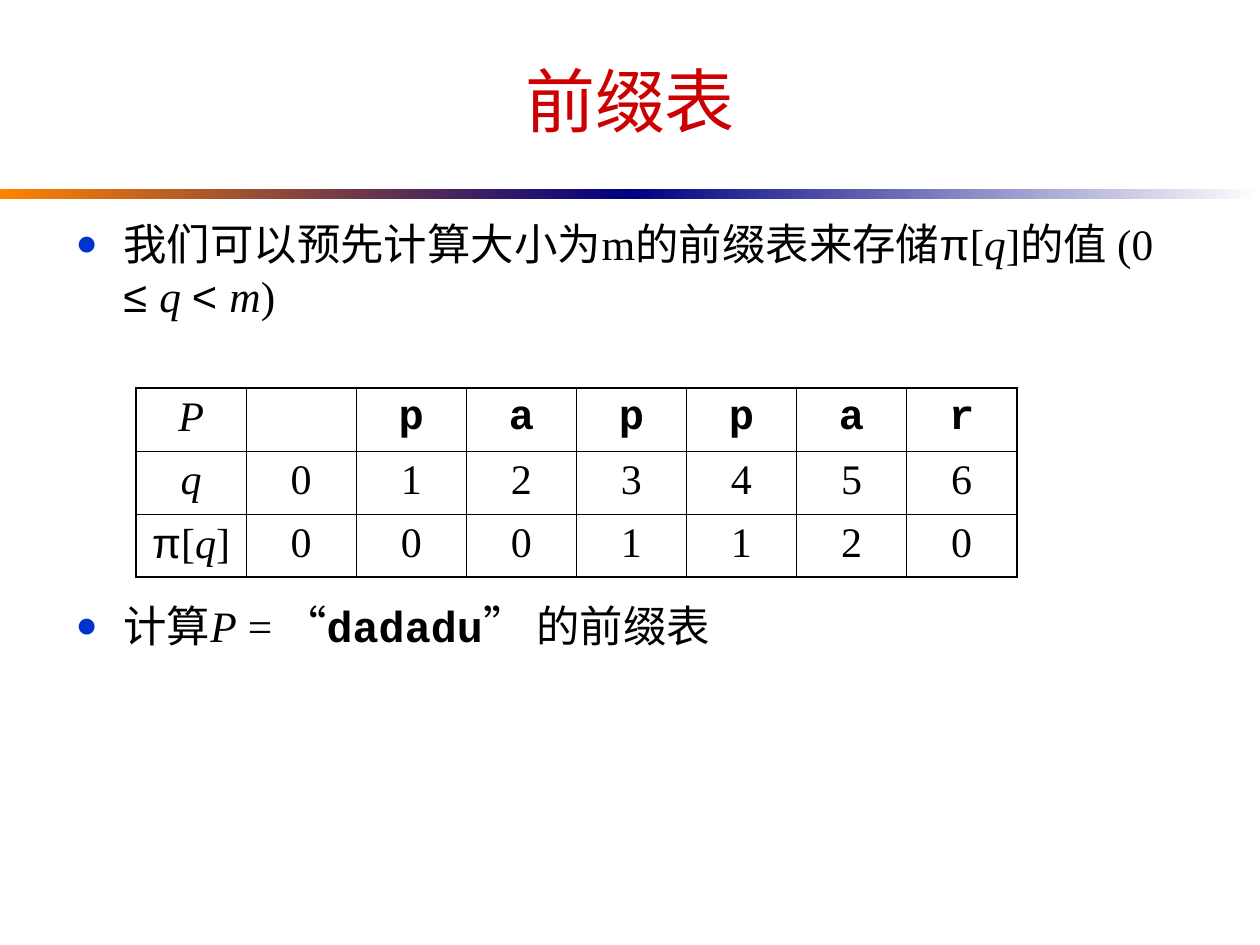
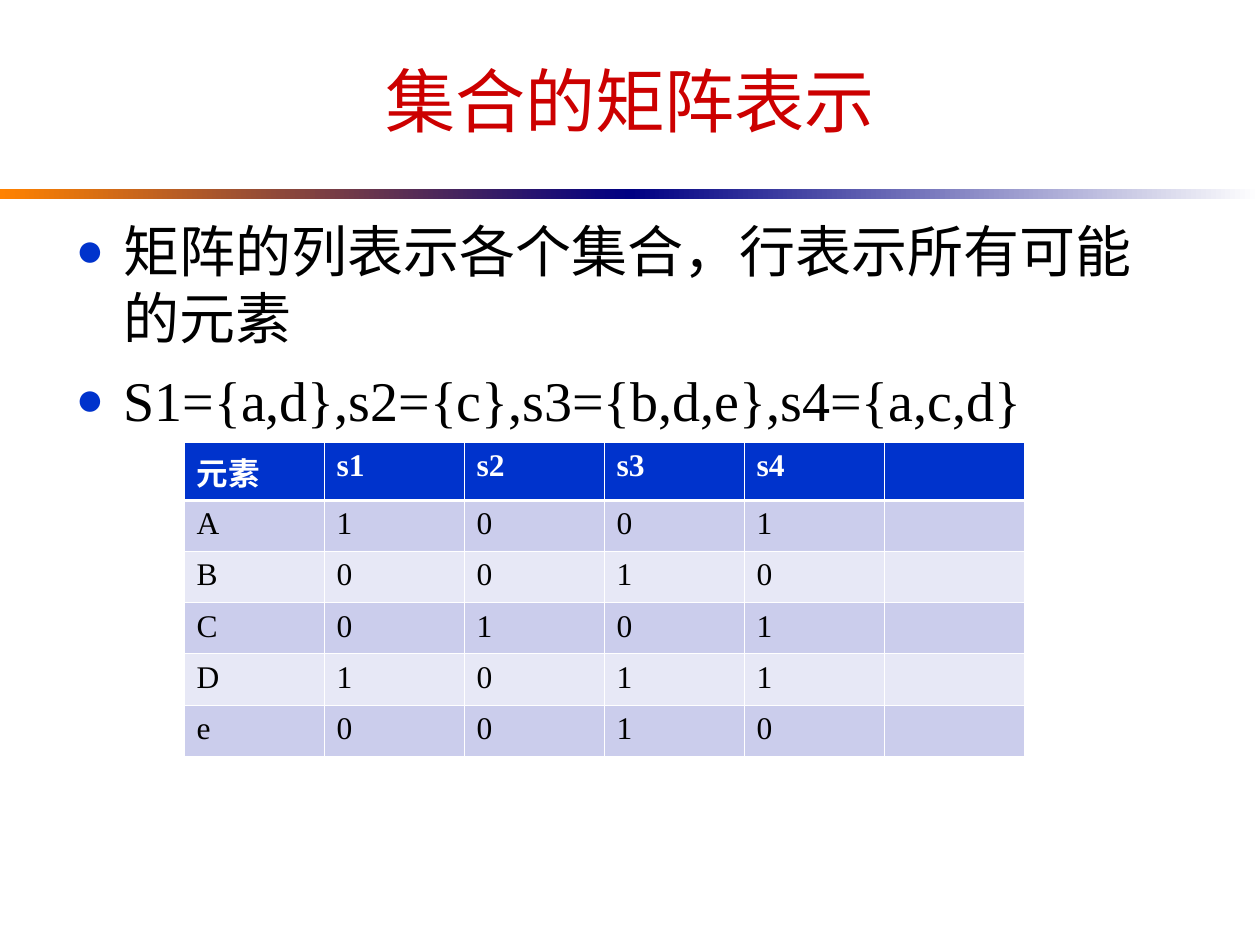
from lxml.etree import SubElement
from pptx import Presentation
from pptx.dml.color import RGBColor
from pptx.enum.shapes import MSO_SHAPE
from pptx.enum.text import MSO_ANCHOR, MSO_AUTO_SIZE, PP_ALIGN
from pptx.oxml.ns import qn
from pptx.util import Inches, Pt

BLACK = RGBColor(0x00, 0x00, 0x00)
WHITE = RGBColor(0xFF, 0xFF, 0xFF)
TITLE_RED = RGBColor(0xCC, 0x00, 0x00)
ACCENT_BLUE = RGBColor(0x00, 0x33, 0xCC)
BAND_ORANGE = RGBColor(0xFF, 0x82, 0x00)
BAND_NAVY = RGBColor(0x00, 0x00, 0x82)
ROW_DARK = RGBColor(0xCB, 0xCD, 0xEC)
ROW_LIGHT = RGBColor(0xE7, 0xE8, 0xF6)

SERIF, SANS, MONO, QUOTE = "Times New Roman", "Arial", "Courier New", "DejaVu Sans"
THIN, OUTER, HEADER_RULE = 0.45, 1.08, 1.47

PREFIX_INTRO = [
    ("我们可以预先计算大小为m的前缀表来存储", SERIF, ""), ("π", SANS, ""),
    ("[", SERIF, ""), ("q", SERIF, "i"), ("]的值 (0 ", SERIF, ""),
    ("≤ ", SANS, ""), ("q ", SERIF, "i"), ("< ", SANS, ""),
    ("m", SERIF, "i"), (")", SERIF, ""),
]
PREFIX_EXERCISE = [
    ("计算", SERIF, ""), ("P", SERIF, "i"), (" = ", SERIF, ""),
    ("“", QUOTE, ""), ("dadadu", MONO, "b"), ("” ", QUOTE, ""),
    ("的前缀表", SERIF, ""),
]
PREFIX_ROWS = [
    [[("P", SERIF, "i")], []] + [[(letter, MONO, "b")] for letter in "pappar"],
    [[("q", SERIF, "i")]] + [[(digit, SERIF, "")] for digit in "0123456"],
    [[("π", SANS, ""), ("[", SERIF, ""), ("q", SERIF, "i"), ("]", SERIF, "")]]
    + [[(digit, SERIF, "")] for digit in "0001120"],
]
SET_POINTS = ["矩阵的列表示各个集合，行表示所有可能的元素",
              "S1={a,d},s2={c},s3={b,d,e},s4={a,c,d}"]
SET_ROWS = [["元素", "s1", "s2", "s3", "s4", ""]] + [
    [element, *membership, ""]
    for element, membership in zip("ABCDe", ("1001", "0010", "0101", "1011", "0010"))]


def place(target, left, top, width, height):
    """Move and size a placeholder, in inches."""
    target.left, target.top = Inches(left), Inches(top)
    target.width, target.height = Inches(width), Inches(height)


def write_runs(paragraph, pieces, size, color=BLACK):
    """Write (text, font, style) pieces into a paragraph."""
    for text, font_name, style in pieces:
        run = paragraph.add_run()
        run.text = text
        run.font.name, run.font.size = font_name, Pt(size)
        run.font.bold, run.font.italic = "b" in style, "i" in style
        run.font.color.rgb = color


def add_bands(slide, layout):
    """Draw the two gradient bands and move them to the shared layout."""
    for left, start, end in ((0, BAND_ORANGE, BAND_NAVY), (5, BAND_NAVY, WHITE)):
        band = slide.shapes.add_shape(
            MSO_SHAPE.RECTANGLE, Inches(left), Inches(1.5), Inches(5), Inches(0.08))
        band.shadow.inherit = False
        band.line.fill.background()
        band.fill.gradient()
        band.fill.gradient_angle = 0
        for stop, color, position in zip(band.fill.gradient_stops, (start, end), (0, 1)):
            stop.color.rgb, stop.position = color, position
        layout.element.cSld.spTree.append(band.element)


def set_title(slide, text):
    """Fill the title placeholder."""
    title = slide.shapes.title
    place(title, 0.5, 0.25, 9, 1.08)
    frame = title.text_frame
    frame.auto_size = MSO_AUTO_SIZE.NONE
    frame.vertical_anchor = MSO_ANCHOR.MIDDLE
    frame.paragraphs[0].alignment = PP_ALIGN.CENTER
    write_runs(frame.paragraphs[0], [(text, SANS, "")], 40, TITLE_RED)


def add_bullet(paragraph):
    """Give a paragraph a round blue bullet with a hanging indent."""
    props = paragraph._p.get_or_add_pPr()
    props.set("marL", str(Inches(0.38)))
    props.set("indent", str(-Inches(0.38)))
    bullet_color = SubElement(props, qn("a:buClr"))
    SubElement(bullet_color, qn("a:srgbClr"), val=str(ACCENT_BLUE))
    SubElement(props, qn("a:buSzPct"), val="85000")
    SubElement(props, qn("a:buChar"), char="●")


def set_points(slide, points, size, height, gap=8):
    """Fill the body placeholder with bulleted points, gap points apart."""
    body = slide.placeholders[1]
    place(body, 0.5, 1.67, 9, height)
    frame = body.text_frame
    frame.auto_size = MSO_AUTO_SIZE.NONE
    for index, pieces in enumerate(points):
        point = frame.add_paragraph() if index else frame.paragraphs[0]
        add_bullet(point)
        point.space_before = Pt(gap if index else 0)
        write_runs(point, pieces, size)


def set_borders(cell, color, left, right, top, bottom):
    """Draw the four cell borders with widths in points."""
    props = cell._tc.get_or_add_tcPr()
    for side, width in zip("LRTB", (left, right, top, bottom)):
        line = SubElement(props, qn(f"a:ln{side}"), w=str(Pt(width)))
        fill = SubElement(line, qn("a:solidFill"))
        SubElement(fill, qn("a:srgbClr"), val=str(color))


def add_grid(slide, row_count, column_count, left, top, width, height):
    """Add a table without banding."""
    table = slide.shapes.add_table(
        row_count, column_count, Inches(left), Inches(top),
        Inches(width), Inches(height)).table
    table.first_row = table.horz_banding = False
    return table


def add_prefix_table(slide):
    """Add the outlined prefix table."""
    last_row, last_column = len(PREFIX_ROWS) - 1, len(PREFIX_ROWS[0]) - 1
    table = add_grid(slide, last_row + 1, last_column + 1, 1.08, 3.08, 6.99, 1.5)
    for row, entries in enumerate(PREFIX_ROWS):
        for column, pieces in enumerate(entries):
            cell = table.cell(row, column)
            at_edges = (column == 0, column == last_column, row == 0, row == last_row)
            set_borders(cell, BLACK, *(OUTER if edge else THIN for edge in at_edges))
            cell.fill.background()
            entry = cell.text_frame.paragraphs[0]
            entry.alignment = PP_ALIGN.CENTER
            write_runs(entry, pieces, 24)


def add_set_table(slide):
    """Add the banded membership matrix."""
    table = add_grid(slide, len(SET_ROWS), len(SET_ROWS[0]), 1.46, 3.51, 6.67, 2.43)
    for row, entries in enumerate(SET_ROWS):
        is_header = row == 0
        row_fill = ACCENT_BLUE if is_header else (ROW_DARK if row % 2 else ROW_LIGHT)
        for column, text in enumerate(entries):
            cell = table.cell(row, column)
            set_borders(cell, WHITE, THIN, THIN,
                        HEADER_RULE if row == 1 else THIN,
                        HEADER_RULE if is_header else THIN)
            cell.fill.solid()
            cell.fill.fore_color.rgb = row_fill
            if text:
                write_runs(cell.text_frame.paragraphs[0],
                           [(text, SERIF, "b" if is_header else "")],
                           18, WHITE if is_header else BLACK)


def main():
    """Build and save the two slides."""
    deck = Presentation()
    deck.slide_width, deck.slide_height = Inches(10), Inches(7.5)
    layout = deck.slide_layouts[1]

    prefix_slide = deck.slides.add_slide(layout)
    add_bands(prefix_slide, layout)
    set_title(prefix_slide, "前缀表")
    set_points(prefix_slide, [PREFIX_INTRO, PREFIX_EXERCISE], 24.8, 3.52, gap=159)
    add_prefix_table(prefix_slide)

    set_slide = deck.slides.add_slide(layout)
    set_title(set_slide, "集合的矩阵表示")
    set_points(set_slide, [[(text, SERIF, "")] for text in SET_POINTS], 32, 4.75)
    add_set_table(set_slide)

    deck.save("out.pptx")


if __name__ == "__main__":
    main()
